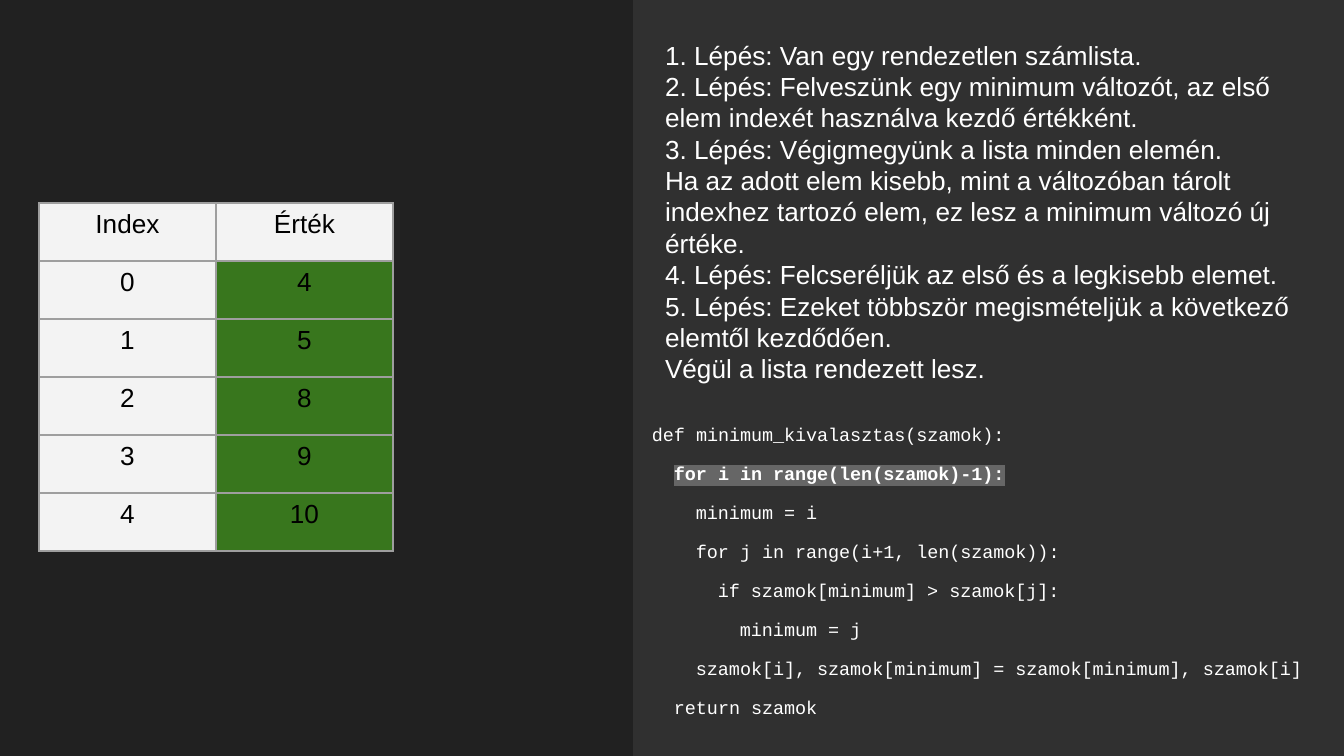
from dataclasses import dataclass

from lxml import etree
from pptx import Presentation
from pptx.dml.color import RGBColor
from pptx.enum.shapes import MSO_SHAPE
from pptx.enum.text import MSO_ANCHOR, PP_ALIGN
from pptx.oxml.ns import qn
from pptx.util import Pt

RECT = MSO_SHAPE.RECTANGLE
TOP, MIDDLE = MSO_ANCHOR.TOP, MSO_ANCHOR.MIDDLE
LEFT, CENTER = PP_ALIGN.LEFT, PP_ALIGN.CENTER
PX = 914400 / 134.4


@dataclass
class Theme:
    """Colours, fonts and type sizes of the slide."""
    back: str = "212121"
    panel: str = "303030"
    light: str = "FFFFFF"
    dark: str = "000000"
    plain: str = "F3F3F3"
    done: str = "38761D"
    grid: str = "9E9E9E"
    mark: str = "666666"
    sans: str = "Arial"
    mono: str = "Courier New"
    text: float = 14
    code: float = 9.9


theme = Theme()


def px(*vals):
    """Turn picture pixels into EMU."""
    return [round(v * PX) for v in vals]


def write(para, text, font=theme.sans, size=theme.text, color=theme.light,
          align=LEFT, mark=None, indent=0, before=0, after=0, lines=1.0):
    """Put formatted text into a paragraph; mark is a highlight colour."""
    para.alignment = align
    para.space_before, para.space_after = Pt(before), Pt(after)
    para.line_spacing = lines
    props = para._p.get_or_add_pPr()
    props.set("marL", str(px(indent)[0]))
    props.set("indent", "0")
    run = para.add_run()
    run.text = text
    run.font.size, run.font.bold = Pt(size), mark is not None
    run.font.color.rgb = RGBColor.from_string(color)
    run.font.name = font
    if mark:
        high = etree.Element(qn("a:highlight"))
        etree.SubElement(high, qn("a:srgbClr"), val=mark)
        run._r.rPr.find(qn("a:solidFill")).addnext(high)


deck = Presentation()
deck.slide_width, deck.slide_height = px(1344, 756)
slide = deck.slides.add_slide(deck.slide_layouts[6])
slide.background.fill.solid()
slide.background.fill.fore_color.rgb = RGBColor.from_string(theme.back)

panel = slide.shapes.add_shape(RECT, *px(633, 0, 711, 756))
panel.shadow.inherit = False
panel.fill.solid()
panel.fill.fore_color.rgb = RGBColor.from_string(theme.panel)
panel.line.fill.background()

# Steps and code: text with its indent level
steps = [
    "1. Lépés: Van egy rendezetlen számlista.",
    "2. Lépés: Felveszünk egy minimum változót, az első elem indexét "
    "használva kezdő értékként.",
    "3. Lépés: Végigmegyünk a lista minden elemén.",
    "Ha az adott elem kisebb, mint a változóban tárolt indexhez tartozó "
    "elem, ez lesz a minimum változó új értéke.",
    "4. Lépés: Felcseréljük az első és a legkisebb elemet.",
    "5. Lépés: Ezeket többször megismételjük a következő elemtől kezdődően.",
    "Végül a lista rendezett lesz.",
]
code = [
    (0, "def minimum_kivalasztas(szamok):"),
    (1, "for i in range(len(szamok)-1):"),
    (2, "minimum = i"),
    (2, "for j in range(i+1, len(szamok)):"),
    (3, "if szamok[minimum] > szamok[j]:"),
    (4, "minimum = j"),
    (2, "szamok[i], szamok[minimum] = szamok[minimum], szamok[i]"),
    (1, "return szamok"),
]
active = 1
step_rows = [(step, {}) for step in steps]
code_rows = [
    (line, dict(font=theme.mono, size=theme.code, indent=22 * level, lines=0.75,
                before=12 if i else 10, after=0 if i < len(code) - 1 else 12,
                mark=theme.mark if i == active else None))
    for i, (level, line) in enumerate(code)
]
for area, side, anchor, rows in [
    ((652, 26, 669, 387), 13, TOP, step_rows),
    ((652, 347, 672, 452), 0, MIDDLE, code_rows),
]:
    frame = slide.shapes.add_textbox(*px(*area)).text_frame
    frame.word_wrap, frame.vertical_anchor = True, anchor
    frame.margin_left, frame.margin_right = px(side, side)
    frame.margin_top, frame.margin_bottom = px(13, 13)
    for i, (text, style) in enumerate(rows):
        para = frame.add_paragraph() if i else frame.paragraphs[0]
        write(para, text, **style)

# Table of indexes and values
data = [("Index", "Érték")] + list(enumerate([4, 5, 8, 9, 10]))
table = slide.shapes.add_table(len(data), 2, *px(39, 203, 354, 348)).table
for col in table.columns:
    col.width = px(177)[0]
for r, row in enumerate(data):
    table.rows[r].height = px(58)[0]
    for c, value in enumerate(row):
        cell = table.cell(r, c)
        cell.margin_left, cell.margin_right = px(13, 13)
        cell.margin_top, cell.margin_bottom = px(7, 7)
        cell.fill.solid()
        fill = theme.done if r and c else theme.plain
        cell.fill.fore_color.rgb = RGBColor.from_string(fill)
        write(cell.text_frame.paragraphs[0], str(value),
              color=theme.dark, align=CENTER)
        props = cell._tc.get_or_add_tcPr()
        for i, side in enumerate(["lnL", "lnR", "lnT", "lnB"]):
            edge = etree.Element(qn("a:" + side), w=str(Pt(0.74)))
            solid = etree.SubElement(edge, qn("a:solidFill"))
            etree.SubElement(solid, qn("a:srgbClr"), val=theme.grid)
            props.insert(i, edge)

deck.save("out.pptx")
